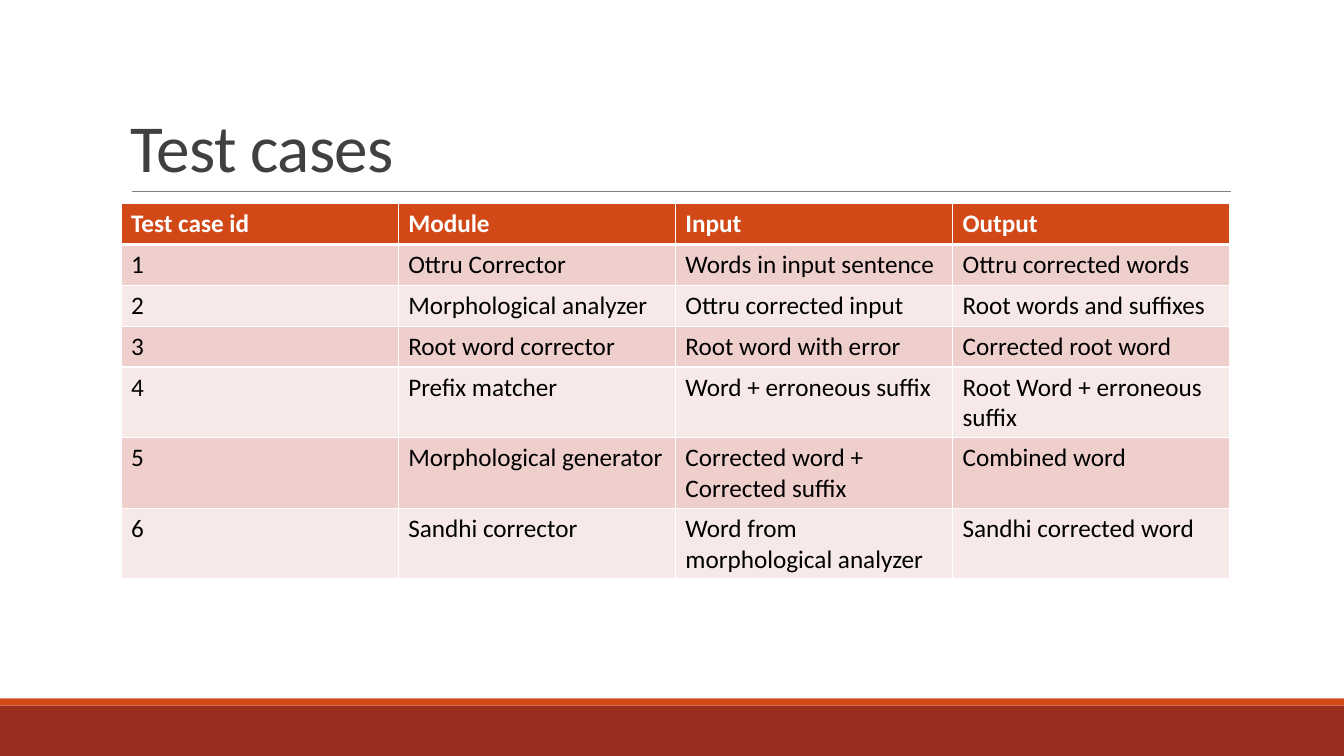
from dataclasses import dataclass

from lxml.etree import SubElement
from pptx import Presentation
from pptx.dml.color import RGBColor as Color
from pptx.enum.shapes import MSO_CONNECTOR as Connector
from pptx.enum.shapes import MSO_SHAPE as Shape
from pptx.enum.text import MSO_ANCHOR as Anchor
from pptx.oxml.ns import qn
from pptx.util import Cm, Pt


@dataclass(frozen=True)
class Theme:
    font: str = "Calibri"
    title_size: int = 48
    table_size: int = 18
    title: str = "404040"
    rule: str = "808080"
    accent: str = "D34817"
    footer: str = "9B2D1F"
    header_text: str = "FFFFFF"
    body_text: str = "000000"
    border: str = "FFFFFF"
    bands: tuple = ("EFCFCC", "F7E9E8")


THEME = Theme()
SLIDE_WIDTH, SLIDE_HEIGHT = 33.87, 19.05
CONTENT_LEFT, CONTENT_WIDTH = 3.05, 27.94
ROW_HEIGHT = 1.03

TEST_CASES = [
    ("Test case id", "Module", "Input", "Output"),
    ("1", "Ottru Corrector", "Words in input sentence", "Ottru corrected words"),
    ("2", "Morphological analyzer", "Ottru corrected input", "Root words and suffixes"),
    ("3", "Root word corrector", "Root word with error", "Corrected root word"),
    ("4", "Prefix matcher", "Word + erroneous suffix", "Root Word + erroneous suffix"),
    ("5", "Morphological generator", "Corrected word + Corrected suffix", "Combined word"),
    ("6", "Sandhi corrector", "Word from morphological analyzer", "Sandhi corrected word"),
]


def style_font(paragraph, size, color, bold=False):
    font = paragraph.font
    font.name = THEME.font
    font.size = Pt(size)
    font.bold = bold
    font.color.rgb = Color.from_string(color)


def add_band(slide, top, height, color):
    shape = slide.shapes.add_shape(
        Shape.RECTANGLE, Cm(0), Cm(top), Cm(SLIDE_WIDTH), Cm(height)
    )
    shape.shadow.inherit = False
    shape.fill.solid()
    shape.fill.fore_color.rgb = Color.from_string(color)
    shape.line.fill.background()


def add_rule(slide, left, right, top):
    connector = slide.shapes.add_connector(
        Connector.STRAIGHT, Cm(left), Cm(top), Cm(right), Cm(top)
    )
    connector.line.color.rgb = Color.from_string(THEME.rule)
    connector.line.width = Pt(0.5)
    SubElement(connector._element.spPr, qn("a:effectLst"))


def add_title(slide, text):
    box = slide.shapes.add_textbox(
        Cm(CONTENT_LEFT), Cm(0.79), Cm(CONTENT_WIDTH), Cm(4.04)
    )
    frame = box.text_frame
    frame.word_wrap = True
    frame.vertical_anchor = Anchor.BOTTOM
    paragraph = frame.paragraphs[0]
    paragraph.line_spacing = 0.85
    run = paragraph.add_run()
    run.text = text
    run._r.get_or_add_rPr().set("spc", "-50")
    style_font(paragraph, THEME.title_size, THEME.title)


def add_borders(cell, widths):
    properties = cell._tc.get_or_add_tcPr()
    for side, width in widths.items():
        line = SubElement(properties, qn(f"a:ln{side}"), w=str(Pt(width)))
        fill = SubElement(line, qn("a:solidFill"))
        SubElement(fill, qn("a:srgbClr"), val=THEME.border)


def fill_cell(cell, text, row_index):
    is_header = row_index == 0
    add_borders(cell, {
        "L": 1,
        "R": 1,
        "T": 3 if row_index == 1 else 1,
        "B": 3 if is_header else 1,
    })
    cell.fill.solid()
    background = THEME.accent if is_header else THEME.bands[(row_index - 1) % 2]
    cell.fill.fore_color.rgb = Color.from_string(background)
    cell.text = text
    color = THEME.header_text if is_header else THEME.body_text
    style_font(cell.text_frame.paragraphs[0], THEME.table_size, color, is_header)


def add_data_table(slide, rows):
    table = slide.shapes.add_table(
        len(rows), len(rows[0]), Cm(CONTENT_LEFT), Cm(5.13),
        Cm(CONTENT_WIDTH), Cm(ROW_HEIGHT * len(rows)),
    ).table
    for row_index, row in enumerate(rows):
        for column_index, text in enumerate(row):
            fill_cell(table.cell(row_index, column_index), text, row_index)


def main():
    presentation = Presentation()
    presentation.slide_width = Cm(SLIDE_WIDTH)
    presentation.slide_height = Cm(SLIDE_HEIGHT)
    slide = presentation.slides.add_slide(presentation.slide_layouts[6])
    add_band(slide, 17.78, 1.27, THEME.footer)
    add_band(slide, 17.6, 0.18, THEME.accent)
    add_rule(slide, 3.32, 31.01, 4.83)
    add_title(slide, "Test cases")
    add_data_table(slide, TEST_CASES)
    presentation.save("out.pptx")


if __name__ == "__main__":
    main()
